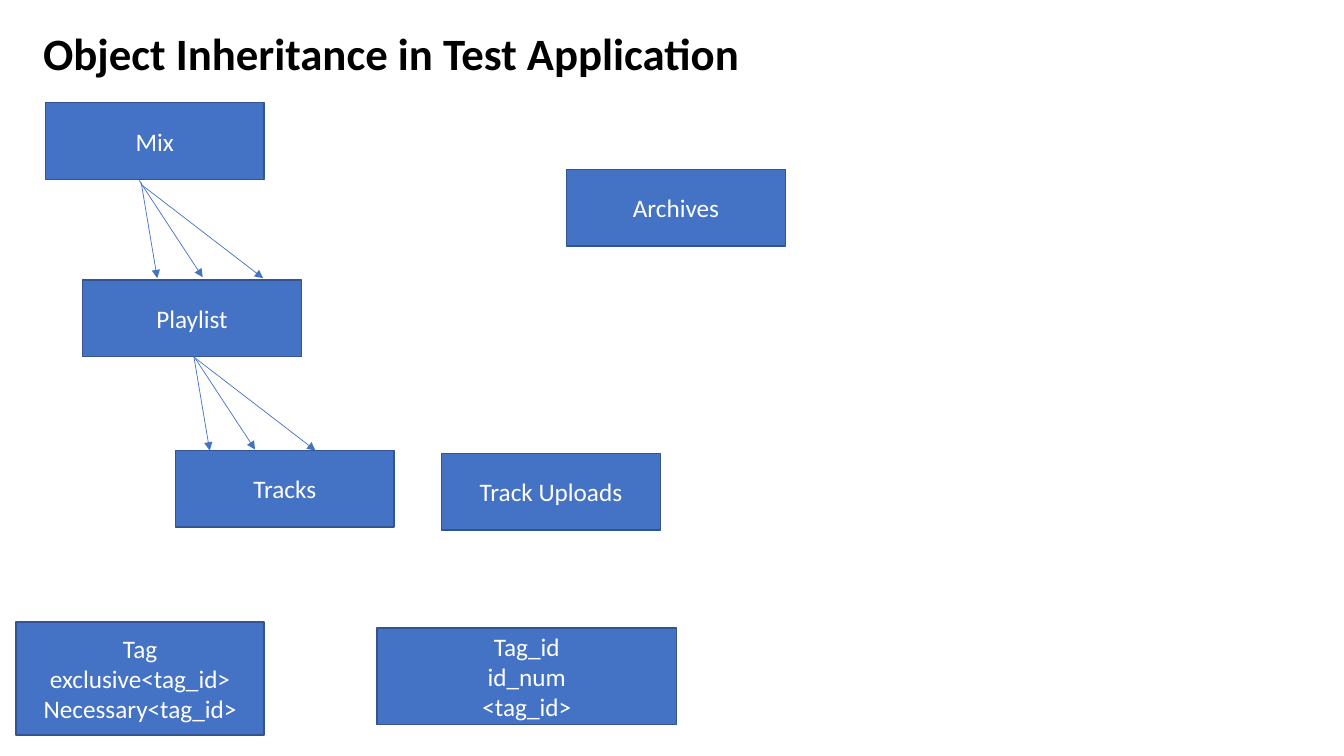
from pptx import Presentation
from pptx import util as u
from pptx.dml import color
from pptx.enum import shapes, text
from pptx.oxml import ns, xmlchemy

PX = 9144  # EMU in one px, 100 px to the inch
FONT = "Calibri"
COLORS = {"title": "000000", "box": "4472C4", "border": "325491",
          "label": "FFFFFF", "arrow": "4472C4"}

BOX_SIZE = (217, 76)
# Each box: left, top, width, height, paragraphs made of lines
BOXES = [
    (82, 278, *BOX_SIZE, [["Playlist"]]),
    (174, 447, *BOX_SIZE, [["Tracks"]]),
    (562, 168, *BOX_SIZE, [["Archives"]]),
    (45, 102, *BOX_SIZE, [["Mix"]]),
    (16, 617, 246, 112, [["Tag", "exclusive<tag_id>"], ["Necessary<tag_id>"]]),
    (374, 623, 297, 96, [["Tag_id", "id_num"], ["<tag_id>"]]),
    (438, 450, *BOX_SIZE, [["Track Uploads"]]),
]
FAN_ORIGINS = [(192, 352), (140, 181)]  # Playlist to Tracks, Mix to Playlist
FAN_ARROWS = [((0, 0), (16, 95)), ((-2, -2), (61, 94)), ((0, 2), (121, 95))]


def px(*lengths):
    return [u.Emu(length * PX) for length in lengths]


def rgb(name):
    return color.RGBColor.from_string(COLORS[name])


class Diagram:
    def __init__(self, slide):
        self.shapes = slide.shapes

    def add_run(self, paragraph, words, size, color_name, bold=False):
        run = paragraph.add_run()
        run.text = words
        run.font.name = FONT
        run.font.size = u.Pt(size)
        run.font.bold = bold
        run.font.color.rgb = rgb(color_name)

    def title(self, left, top, width, height, words):
        heading = self.shapes.add_textbox(*px(left, top, width, height))
        frame = heading.text_frame
        frame.word_wrap = False
        frame.auto_size = text.MSO_AUTO_SIZE.SHAPE_TO_FIT_TEXT
        self.add_run(frame.paragraphs[0], words, 32, "title", bold=True)

    def box(self, left, top, width, height, paragraphs):
        box = self.shapes.add_shape(shapes.MSO_SHAPE.RECTANGLE, *px(left, top, width, height))
        box.shadow.inherit = False
        box.fill.solid()
        box.fill.fore_color.rgb = rgb("box")
        box.line.color.rgb = rgb("border")
        box.line.width = u.Pt(1)
        frame = box.text_frame
        frame.word_wrap = True
        frame.vertical_anchor = text.MSO_ANCHOR.MIDDLE
        for index, lines in enumerate(paragraphs):
            paragraph = frame.add_paragraph() if index else frame.paragraphs[0]
            paragraph.alignment = text.PP_ALIGN.CENTER
            for number, line in enumerate(lines):
                if number:
                    paragraph.add_line_break()
                self.add_run(paragraph, line, 18, "label")

    def arrow(self, start, end):
        arrow = self.shapes.add_connector(shapes.MSO_CONNECTOR.STRAIGHT, *px(*start, *end))
        arrow.line.color.rgb = rgb("arrow")
        arrow.line.width = u.Pt(0.5)
        head = xmlchemy.OxmlElement("a:tailEnd")
        head.set("type", "triangle")
        properties = arrow.element.find(ns.qn("p:spPr"))
        properties.find(ns.qn("a:ln")).append(head)
        properties.append(xmlchemy.OxmlElement("a:effectLst"))

    def fan(self, x, y):
        """Spread one parent's arrows from (x, y) to its children."""
        for (x1, y1), (x2, y2) in FAN_ARROWS:
            self.arrow((x + x1, y + y1), (x + x2, y + y2))


def main():
    deck = Presentation()
    deck.slide_width, deck.slide_height = u.Inches(13.33), u.Inches(7.5)
    diagram = Diagram(deck.slides.add_slide(deck.slide_layouts[6]))
    diagram.title(33, 21, 717, 64, "Object Inheritance in Test Application")
    for box in BOXES:
        diagram.box(*box)
    for origin in FAN_ORIGINS:
        diagram.fan(*origin)
    deck.save("out.pptx")


if __name__ == "__main__":
    main()
